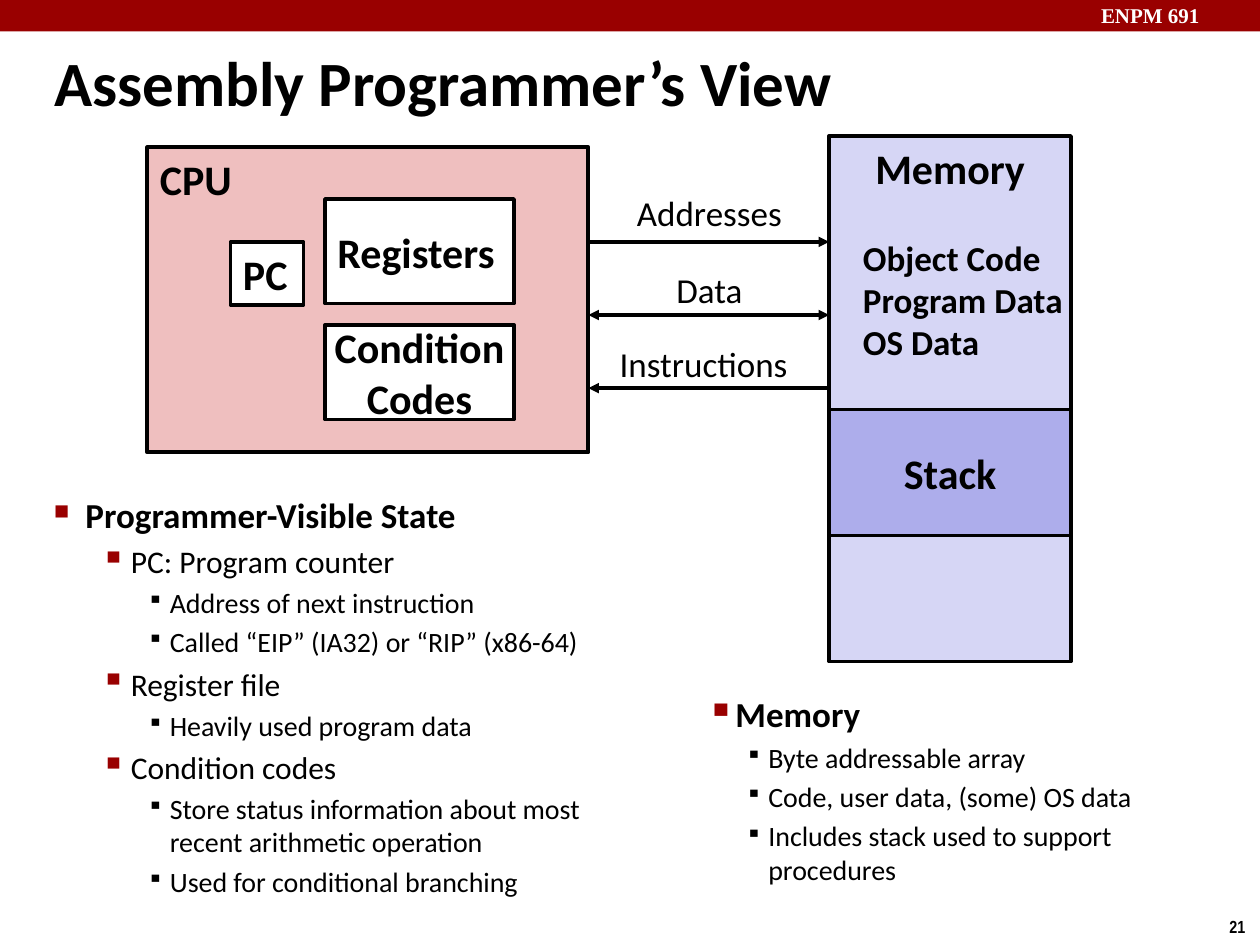
from lxml import etree
from pptx import Presentation
from pptx.dml.color import RGBColor
from pptx.enum import shapes, text
from pptx.oxml import ns
from pptx.util import Inches, Pt

COLORS = {"ink": "000000", "white": "FFFFFF", "red": "990000", "cpu": "EFBFBF",
          "memory": "D6D6F5", "stack": "ADADEB"}
LEFT, CENTER = text.PP_ALIGN.LEFT, text.PP_ALIGN.CENTER
TOP, MIDDLE = text.MSO_ANCHOR.TOP, text.MSO_ANCHOR.MIDDLE

TITLE = "Assembly Programmer’s View"
# lines, place, fill, line width, alignment, anchor, wrap
BLOCKS = [
    (["CPU"], (1.17, 1.17, 3.5, 2.42), "cpu", 2.25, LEFT, TOP, True),
    (["PC"], (1.83, 1.92, 0.58, 0.5), "white", 2, LEFT, MIDDLE, False),
    (["Registers"], (2.58, 1.58, 1.5, 0.83), "white", 2, LEFT, MIDDLE, False),
    (["Condition", "Codes"], (2.58, 2.58, 1.5, 0.75), "white", 2, CENTER, MIDDLE, False),
    (["Memory"], (6.58, 1.08, 1.92, 4.17), "memory", 2, CENTER, TOP, False),
    (["Stack"], (6.58, 3.25, 1.92, 1), "stack", 2, CENTER, MIDDLE, False),
]
MEMORY_CONTENTS = ["Object Code", "Program Data", "OS Data"]
# label, label top, label width, arrow height, arrowheads
BUSES = [
    ("Addresses", 1.47, 1.92, 1.92, ["tailEnd"]),
    ("Data", 2.08, 1.92, 2.5, ["headEnd", "tailEnd"]),
    ("Instructions", 2.67, 1.83, 3.08, ["headEnd"]),
]
BUS_LEFT, BUS_RIGHT = 4.67, 6.58

STATE_NOTES = [
    (0, "Programmer-Visible State"),
    (1, "PC: Program counter"),
    (2, "Address of next instruction"),
    (2, "Called “EIP” (IA32) or “RIP” (x86-64)"),
    (1, "Register file"),
    (2, "Heavily used program data"),
    (1, "Condition codes"),
    (2, "Store status information about most recent arithmetic operation"),
    (2, "Used for conditional branching"),
]
MEMORY_NOTES = [
    (1, "Memory"),
    (2, "Byte addressable array"),
    (2, "Code, user data, (some) OS data"),
    (2, "Includes stack used to support procedures"),
]
# level: text indent, hanging, bullet, bullet percent, bullet colour, size, bold
STATE_LEVELS = {
    0: (0.25, 0.25, "■", 60, "red", 20, True),
    1: (0.61, 0.24, "▪", 110, "red", 18, False),
    2: (0.92, 0.18, "▪", 80, "ink", 16, False),
}
MEMORY_LEVELS = {
    1: (0.32, 0.19, "▪", 110, "red", 20, True),
    2: (0.62, 0.18, "▪", 80, "ink", 16, False),
}


def rgb(color):
    return RGBColor.from_string(COLORS[color])


def add_xml(parent, tag, **attributes):
    return etree.SubElement(parent, ns.qn(tag), attributes)


def set_font(paragraph, size, bold=True, name="Calibri", color="ink"):
    for run in paragraph.runs:
        for attribute, value in {"size": Pt(size), "bold": bold, "name": name}.items():
            setattr(run.font, attribute, value)
        run.font.color.rgb = rgb(color)


def write(frame, lines, size, align=LEFT, anchor=TOP, wrap=True, **font):
    settings = {"text": "\n".join(lines), "word_wrap": wrap, "vertical_anchor": anchor,
                "auto_size": text.MSO_AUTO_SIZE.NONE}
    for attribute, value in settings.items():
        setattr(frame, attribute, value)
    for paragraph in frame.paragraphs:
        paragraph.alignment = align
        set_font(paragraph, size, **font)


def add_label(slide, lines, place, size, **style):
    box = slide.shapes.add_textbox(*map(Inches, place))
    write(box.text_frame, lines, size, **style)
    return box


def add_block(slide, place, fill, line_width=None):
    block = slide.shapes.add_shape(shapes.MSO_SHAPE.RECTANGLE, *map(Inches, place))
    block.shadow.inherit = False
    block.fill.solid()
    block.fill.fore_color.rgb = rgb(fill)
    if line_width:
        block.line.color.rgb = rgb("ink")
        block.line.width = Pt(line_width)
    else:
        block.line.fill.background()
    return block


def add_bus(slide, height, heads):
    bus = slide.shapes.add_connector(
        shapes.MSO_CONNECTOR.STRAIGHT,
        *map(Inches, (BUS_LEFT, height, BUS_RIGHT, height)))
    bus.line.color.rgb = rgb("ink")
    bus.line.width = Pt(2)
    for head in heads:
        add_xml(bus.line._get_or_add_ln(), f"a:{head}", type="triangle")
    add_xml(bus._element.spPr, "a:effectLst")


def add_notes_list(slide, notes, place, levels):
    frame = add_label(slide, [line for _, line in notes], place, 16).text_frame
    for i, (paragraph, (level, _)) in enumerate(zip(frame.paragraphs, notes)):
        indent, hanging, bullet, percent, color, size, bold = levels[level]
        paragraph.level = level
        properties = paragraph._p.get_or_add_pPr()
        properties.set("marL", str(Inches(indent)))
        properties.set("indent", str(-Inches(hanging)))
        add_xml(add_xml(properties, "a:buClr"), "a:srgbClr", val=COLORS[color])
        add_xml(properties, "a:buSzPct", val=str(percent * 1000))
        add_xml(properties, "a:buChar", char=bullet)
        if i:
            paragraph.space_before = Pt(0.2 * size)
        set_font(paragraph, size, bold)


def main():
    deck = Presentation()
    deck.slide_width, deck.slide_height = Inches(10), Inches(7.5)
    slide = deck.slides.add_slide(deck.slide_layouts[5])

    add_block(slide, (0, 0, 10, 0.25), "red")
    add_label(slide, ["ENPM 691"], (8.64, -0.03, 1.43, 0.3), 12,
              name="Times New Roman", color="white")
    add_label(slide, ["21"], (9.66, 7.22, 0.34, 0.27), 10, wrap=False, name="Arial Narrow")

    title = slide.shapes.title
    title.left, title.top, title.width, title.height = map(Inches, (0.33, 0.33, 7.9, 0.63))
    write(title.text_frame, [TITLE], 36, anchor=MIDDLE)

    for lines, place, fill, line_width, align, anchor, wrap in BLOCKS:
        block = add_block(slide, place, fill, line_width)
        write(block.text_frame, lines, 24, align, anchor, wrap)
    add_label(slide, MEMORY_CONTENTS, (6.75, 1.83, 1.92, 1.11), 20)

    for label, top, width, height, heads in BUSES:
        add_bus(slide, height, heads)
        add_label(slide, [label], (BUS_LEFT, top, width, 0.43), 20, align=CENTER, bold=False)

    add_notes_list(slide, STATE_NOTES, (0.33, 3.87, 4.77, 3.38), STATE_LEVELS)
    add_notes_list(slide, MEMORY_NOTES, (5.38, 5.45, 4.46, 1.72), MEMORY_LEVELS)
    deck.save("out.pptx")


if __name__ == "__main__":
    main()
